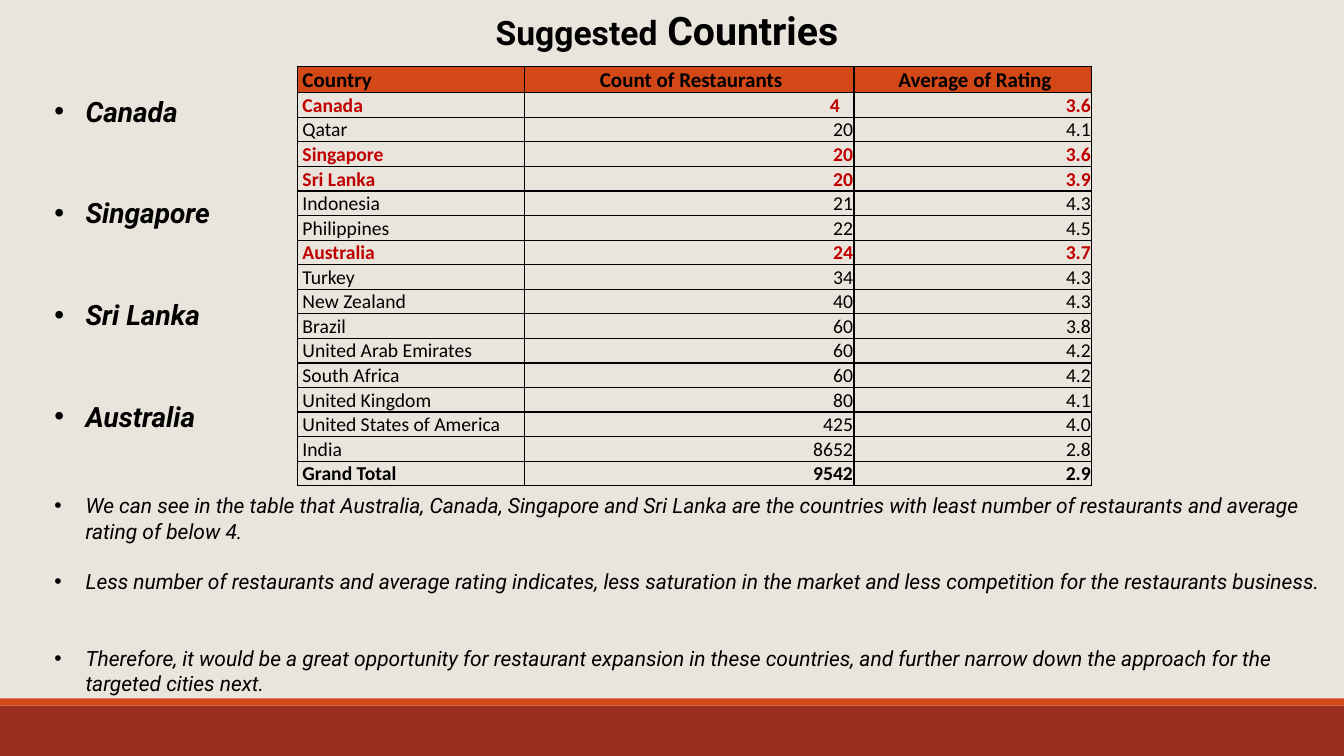
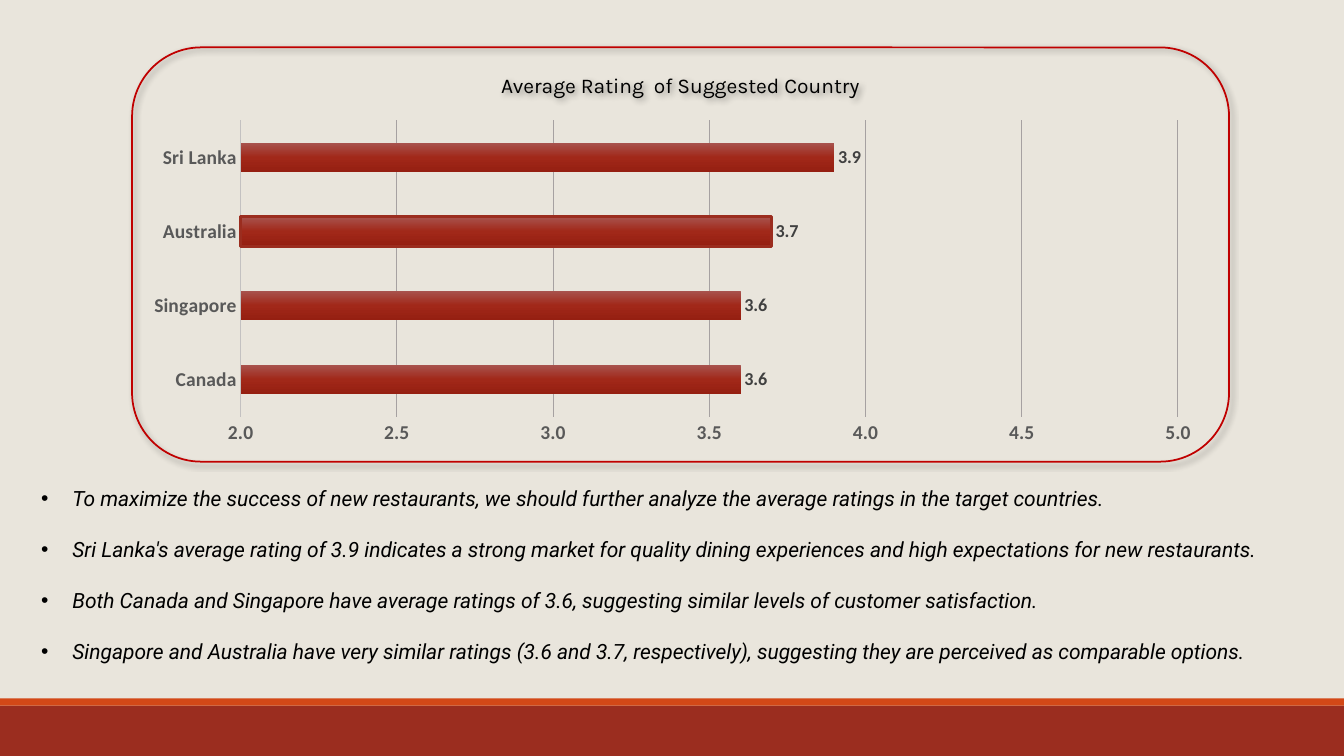
import lxml.etree
import pptx
import pptx.chart.data
import pptx.dml.color
import pptx.enum.chart
import pptx.enum.shapes
import pptx.enum.text
import pptx.oxml.ns
import pptx.util

Inches = pptx.util.Inches
Pt = pptx.util.Pt
RGBColor = pptx.dml.color.RGBColor
Align = pptx.enum.text.PP_ALIGN
Anchor = pptx.enum.text.MSO_ANCHOR
qn = pptx.oxml.ns.qn

BACKGROUND = RGBColor(0xE9, 0xE5, 0xDC)
BRICK = RGBColor(0x9B, 0x2D, 0x1F)
ORANGE = RGBColor(0xD3, 0x48, 0x17)
RED = RGBColor(0xC0, 0x00, 0x00)
BLACK = RGBColor(0x00, 0x00, 0x00)
AXIS_TEXT = RGBColor(0x59, 0x59, 0x59)
LABEL_TEXT = RGBColor(0x40, 0x40, 0x40)
AXIS_LINE = RGBColor(0xC3, 0xC1, 0xC1)
GRID_LINE = RGBColor(0xA6, 0xA1, 0xA1)
BAR_LIGHT = RGBColor(0xA8, 0x54, 0x4F)
BAR_MIDDLE = RGBColor(0xA1, 0x28, 0x19)
BAR_DARK = RGBColor(0x95, 0x1F, 0x11)

BODY_FONT = "Roboto"
DATA_FONT = "Calibri"
CHART_TITLE_FONT = "Karla"

SLIDE_WIDTH = 13.33
BULLET_INDENT = Inches(0.31)
BLANK_LINE = 18.3

SUGGESTED = ["Canada", "Singapore", "Sri Lanka", "Australia"]
TABLE_HEADER = ("Country", "Count of Restaurants", "Average of Rating")
COUNTRIES = [
    ("Canada", "4", "3.6"),
    ("Qatar", "20", "4.1"),
    ("Singapore", "20", "3.6"),
    ("Sri Lanka", "20", "3.9"),
    ("Indonesia", "21", "4.3"),
    ("Philippines", "22", "4.5"),
    ("Australia", "24", "3.7"),
    ("Turkey", "34", "4.3"),
    ("New Zealand", "40", "4.3"),
    ("Brazil", "60", "3.8"),
    ("United Arab Emirates", "60", "4.2"),
    ("South Africa", "60", "4.2"),
    ("United Kingdom", "80", "4.1"),
    ("United States of America", "425", "4.0"),
    ("India", "8652", "2.8"),
    ("Grand Total", "9542", "2.9"),
]
FINDINGS = [
    "We can see in the table that Australia, Canada, Singapore and Sri Lanka are the countries with least "
    "number of restaurants and average rating of below 4.",
    "Less number of restaurants and average rating indicates, less saturation in the market and less "
    "competition for the restaurants business.",
    "Therefore, it would be a great opportunity for restaurant expansion in these countries, and further "
    "narrow down the approach for the targeted cities next.",
]
RATINGS = {"Canada": 3.6, "Singapore": 3.6, "Australia": 3.7, "Sri Lanka": 3.9}
RATING_NOTES = [
    "To maximize the success of new restaurants, we should further analyze the average ratings in the "
    "target countries.",
    "Sri Lanka's average rating of 3.9 indicates a strong market for quality dining experiences and high "
    "expectations for new restaurants.",
    "Both Canada and Singapore have average ratings of 3.6, suggesting similar levels of customer satisfaction.",
    "Singapore and Australia have very similar ratings (3.6 and 3.7, respectively), suggesting they are "
    "perceived as comparable options.",
]


def add_element(parent, tag, **attributes):
    return lxml.etree.SubElement(parent, qn(tag), {name: str(value) for name, value in attributes.items()})


def style_font(font, size, color=BLACK, name=BODY_FONT, bold=False, italic=False):
    font.name = name
    font.size = Pt(size)
    font.bold = bold
    font.italic = italic
    font.color.rgb = color


def add_run(paragraph, text, size, **style):
    run = paragraph.add_run()
    run.text = text
    style_font(run.font, size, **style)


def add_master_band(slide, master, position, top, height, color):
    band = slide.shapes.add_shape(
        pptx.enum.shapes.MSO_SHAPE.RECTANGLE, 0, Inches(top), Inches(SLIDE_WIDTH), Inches(height))
    band.shadow.inherit = False
    band.fill.solid()
    band.fill.fore_color.rgb = color
    band.line.fill.background()
    band.element.nvSpPr.cNvPr.set("id", str(100 + position))
    master.shapes.element.insert(2 + position, band.element)


def style_master(slide, master):
    master.background.fill.solid()
    master.background.fill.fore_color.rgb = BACKGROUND
    add_master_band(slide, master, 0, 7, 0.5, BRICK)
    add_master_band(slide, master, 1, 6.93, 0.07, ORANGE)


def add_title(slide):
    title = slide.shapes.title
    title.left, title.top = Inches(3.28), Inches(0.01)
    title.width, title.height = Inches(6.67), Inches(0.57)
    title.text_frame.vertical_anchor = Anchor.TOP
    title.text_frame.auto_size = pptx.enum.text.MSO_AUTO_SIZE.NONE
    paragraph = title.text_frame.paragraphs[0]
    paragraph.alignment = Align.CENTER
    add_run(paragraph, "Suggested", 24, bold=True)
    add_run(paragraph, " Countries", 28, bold=True)


def add_bullets(slide, box, items, size, gaps, line_spacing=1.0, bold=False):
    text_frame = slide.shapes.add_textbox(*map(Inches, box)).text_frame
    text_frame.word_wrap = True
    for index, (item, gap) in enumerate(zip(items, gaps)):
        paragraph = text_frame.add_paragraph() if index else text_frame.paragraphs[0]
        properties = paragraph._p.get_or_add_pPr()
        properties.set("marL", str(BULLET_INDENT))
        properties.set("indent", str(-BULLET_INDENT))
        add_element(properties, "a:buFont", typeface="Arial")
        add_element(properties, "a:buChar", char="•")
        paragraph.line_spacing = line_spacing
        if gap:
            paragraph.space_before = Pt(gap)
        add_run(paragraph, item, size, bold=bold, italic=True)


def add_cell_borders(cell):
    properties = cell._tc.get_or_add_tcPr()
    for side in ("a:lnL", "a:lnR", "a:lnT", "a:lnB"):
        line = add_element(properties, side, w=Pt(1))
        add_element(add_element(line, "a:solidFill"), "a:srgbClr", val=BLACK)


def fill_cell(cell, text, alignment, size, fill, color, bold):
    add_cell_borders(cell)
    cell.fill.solid()
    cell.fill.fore_color.rgb = fill
    cell.vertical_anchor = Anchor.BOTTOM
    cell.margin_left = Inches(0.05)
    cell.margin_right = cell.margin_top = Inches(0.01)
    cell.margin_bottom = 0
    paragraph = cell.text_frame.paragraphs[0]
    paragraph.alignment = alignment
    add_run(paragraph, text, size, color=color, name=DATA_FONT, bold=bold)


def add_country_table(slide):
    table = slide.shapes.add_table(
        len(COUNTRIES) + 1, len(TABLE_HEADER), Inches(2.95), Inches(0.66), Inches(7.88), Inches(4.1)).table
    for column, width in zip(table.columns, (2.25, 3.27, 2.36)):
        column.width = Inches(width)
    for index, row in enumerate(table.rows):
        row.height = Inches(0.24 if index else 0.26)
    for column, text in enumerate(TABLE_HEADER):
        alignment = Align.CENTER if column else Align.LEFT
        fill_cell(table.cell(0, column), text, alignment, 15, ORANGE, BLACK, True)
    for row, values in enumerate(COUNTRIES, 1):
        suggested = values[0] in SUGGESTED
        for column, text in enumerate(values):
            alignment = Align.RIGHT if column else Align.LEFT
            fill_cell(table.cell(row, column), text, alignment, 14, BACKGROUND,
                      RED if suggested else BLACK, suggested or values[0] == "Grand Total")
    table.cell(1, 1).margin_right = Inches(0.14)


def add_chart_frame(slide):
    frame = slide.shapes.add_shape(
        pptx.enum.shapes.MSO_SHAPE.ROUNDED_RECTANGLE, Inches(1.31), Inches(0.47), Inches(10.88), Inches(4.11))
    frame.shadow.inherit = False
    frame.fill.background()
    frame.line.color.rgb = RED
    frame.line.width = Pt(1.25)
    effects = frame.element.spPr.find(qn("a:effectLst"))
    shadow = add_element(effects, "a:outerShdw", blurRad=Pt(4), dist=Pt(3), dir=45 * 60000,
                         algn="tl", rotWithShape=0)
    add_element(add_element(shadow, "a:srgbClr", val=BLACK), "a:alpha", val=40000)
    frame.text_frame.vertical_anchor = Anchor.TOP
    paragraph = frame.text_frame.paragraphs[0]
    paragraph.alignment = Align.CENTER
    add_run(paragraph, "Average Rating  of Suggested Country", 15, name=CHART_TITLE_FONT)


def apply_bar_gradients(chart, formats):
    for bar_format in formats:
        bar_format.fill.gradient()
        bar_format.fill.gradient_angle = 270
    for stops in chart.element.xpath(".//a:gsLst"):
        for stop in list(stops):
            stops.remove(stop)
        for position, color in ((0, BAR_LIGHT), (50, BAR_MIDDLE), (100, BAR_DARK)):
            add_element(add_element(stops, "a:gs", pos=position * 1000), "a:srgbClr", val=color)


def set_plot_layout(chart, x, y, width, height):
    plot_area = chart.element.xpath("c:chart/c:plotArea")[0]
    for layout in plot_area.findall(qn("c:layout")):
        plot_area.remove(layout)
    layout = add_element(plot_area, "c:layout")
    plot_area.insert(0, layout)
    manual = add_element(layout, "c:manualLayout")
    settings = {"layoutTarget": "inner", "xMode": "edge", "yMode": "edge", "x": x, "y": y, "w": width, "h": height}
    for name, value in settings.items():
        add_element(manual, "c:" + name, val=value)


def style_axis(axis):
    axis.major_tick_mark = axis.minor_tick_mark = pptx.enum.chart.XL_TICK_MARK.NONE
    style_font(axis.tick_labels.font, 14, AXIS_TEXT, DATA_FONT, bold=True)


def add_rating_chart(slide):
    data = pptx.chart.data.CategoryChartData(number_format="0.0")
    data.categories = list(RATINGS)
    data.add_series("Series 1", list(RATINGS.values()))
    chart = slide.shapes.add_chart(
        pptx.enum.chart.XL_CHART_TYPE.BAR_CLUSTERED,
        Inches(1.53), Inches(0.86), Inches(10.28), Inches(3.72), data).chart
    chart.has_legend = False
    chart.has_title = False
    style_font(chart.font, 10, name=DATA_FONT)
    set_plot_layout(chart, 0.08, 0.09, 0.91, 0.79)

    category_axis, value_axis = chart.category_axis, chart.value_axis
    style_axis(category_axis)
    category_axis.has_major_gridlines = False
    category_axis.format.line.color.rgb = AXIS_LINE
    category_axis.format.line.width = Pt(1)
    style_axis(value_axis)
    value_axis.minimum_scale, value_axis.maximum_scale, value_axis.major_unit = 2, 5, 0.5
    value_axis.tick_labels.number_format = "0.0"
    value_axis.tick_labels.number_format_is_linked = False
    value_axis.format.line.fill.background()
    value_axis.major_gridlines.format.line.color.rgb = GRID_LINE
    value_axis.major_gridlines.format.line.width = Pt(0.75)

    plot = chart.plots[0]
    plot.gap_width = 150
    plot.vary_by_categories = False
    series = plot.series[0]
    australia = series.points[list(RATINGS).index("Australia")]
    apply_bar_gradients(chart, (series.format, australia.format))
    australia.format.line.color.rgb = BRICK
    australia.format.line.width = Pt(2.25)
    labels = series.data_labels
    labels.show_value = True
    labels.position = pptx.enum.chart.XL_LABEL_POSITION.OUTSIDE_END
    labels.number_format = "0.0"
    labels.number_format_is_linked = False
    style_font(labels.font, 13, LABEL_TEXT, DATA_FONT, bold=True)


def build_countries_slide(slide):
    add_title(slide)
    add_bullets(slide, (0.44, 0.72, 2.4, 3.58), SUGGESTED, 20, (0, 36.6, 36.6, 36.6), 1.5, bold=True)
    add_bullets(slide, (0.44, 4.84, 12.89, 2.12), FINDINGS, 15, (0, BLANK_LINE, 2 * BLANK_LINE))
    add_country_table(slide)


def build_ratings_slide(slide):
    add_chart_frame(slide)
    add_rating_chart(slide)
    add_bullets(slide, (0.31, 4.77, 12.89, 1.87), RATING_NOTES, 15, (0, BLANK_LINE, BLANK_LINE, BLANK_LINE))


def main():
    presentation = pptx.Presentation()
    presentation.slide_width = Inches(SLIDE_WIDTH)
    presentation.slide_height = Inches(7.5)
    countries_slide = presentation.slides.add_slide(presentation.slide_layouts[5])
    style_master(countries_slide, presentation.slide_master)
    build_countries_slide(countries_slide)
    build_ratings_slide(presentation.slides.add_slide(presentation.slide_layouts[6]))
    presentation.save("out.pptx")


if __name__ == "__main__":
    main()
